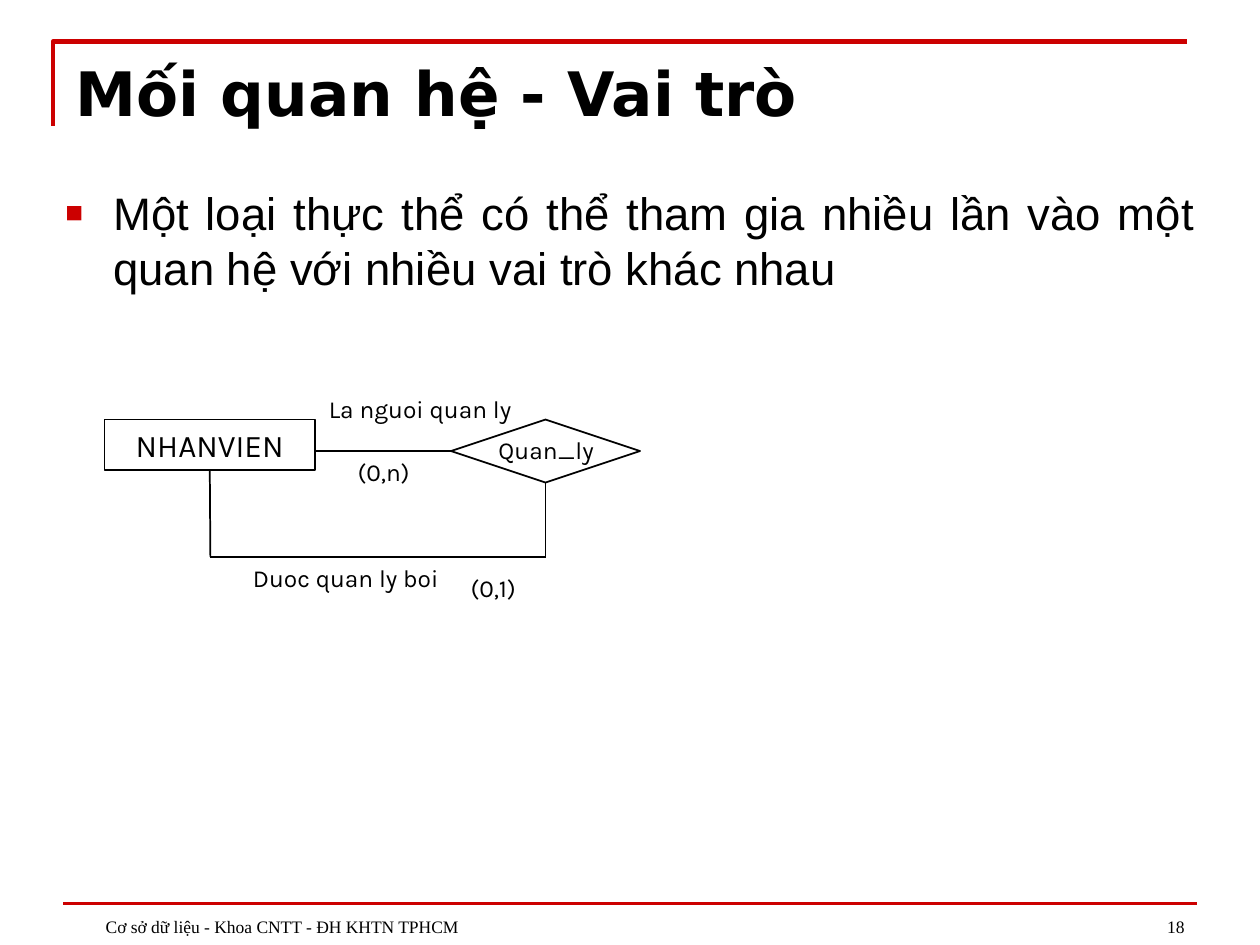
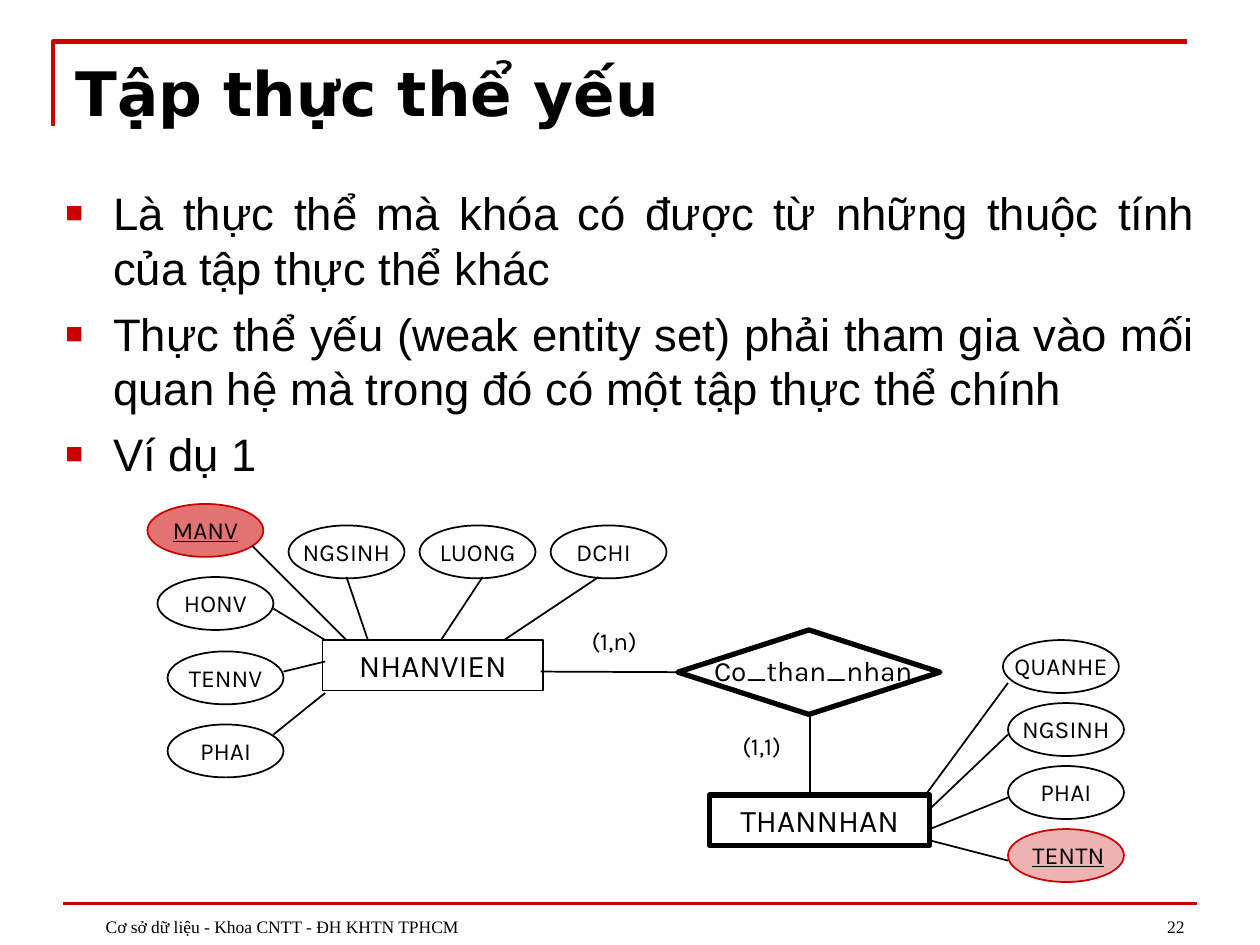
from dataclasses import dataclass

from lxml.etree import SubElement
from pptx import Presentation
from pptx.dml.color import RGBColor
from pptx.enum.shapes import MSO_CONNECTOR, MSO_SHAPE
from pptx.enum.text import MSO_ANCHOR, PP_ALIGN
from pptx.oxml.ns import qn
from pptx.util import Inches, Pt


@dataclass(frozen=True)
class Theme:
    ink: RGBColor = RGBColor(0, 0, 0)
    accent: RGBColor = RGBColor(0xCC, 0, 0)
    title_font: str = "DejaVu Sans"
    body_font: str = "Arial"
    diagram_font: str = "Karla"
    footer_font: str = "Times New Roman"
    title_size: int = 35
    body_size: int = 26
    entity_size: int = 18
    relation_size: int = 16
    label_size: int = 14
    footer_size: int = 10
    thin: int = 1
    thick: int = 3


THEME = Theme()
FOOTER = "Cơ sở dữ liệu - Khoa CNTT - ĐH KHTN TPHCM"
OVAL_W, OVAL_H = 0.92, 0.42
LABEL_H = 0.34
LEFT, RIGHT, BOTTOM = 1, 3, 2


def add_run(p, text, font, size, bold=None, underline=None):
    r = p.add_run()
    r.text = text
    r.font.name = font
    r.font.size = Pt(size)
    r.font.bold = bold
    r.font.underline = underline
    r.font.color.rgb = THEME.ink


def add_text(s, x, y, w, h, anchor=MSO_ANCHOR.TOP):
    tf = s.shapes.add_textbox(Inches(x), Inches(y), Inches(w), Inches(h)).text_frame
    tf.word_wrap = True
    tf.vertical_anchor = anchor
    return tf


def add_label(s, text, x, y, w, size=THEME.label_size, underline=None):
    p = add_text(s, x, y, w, LABEL_H).paragraphs[0]
    p.alignment = PP_ALIGN.CENTER
    add_run(p, text, THEME.diagram_font, size, underline=underline)


def add_outline(s, kind, x, y, w, h, weight=THEME.thin, color=THEME.ink):
    sp = s.shapes.add_shape(kind, Inches(x), Inches(y), Inches(w), Inches(h))
    sp.shadow.inherit = False
    sp.fill.background()
    sp.line.color.rgb = color
    sp.line.width = Pt(weight)
    return sp


def add_entity(s, name, x, y, w, weight=THEME.thin):
    sp = add_outline(s, MSO_SHAPE.RECTANGLE, x, y, w, 0.4, weight)
    tf = sp.text_frame
    tf.vertical_anchor = MSO_ANCHOR.TOP
    p = tf.paragraphs[0]
    p.alignment = PP_ALIGN.CENTER
    add_run(p, name, THEME.diagram_font, THEME.entity_size)
    return sp


def add_relation(s, x, y, w, h, weight=THEME.thin):
    return add_outline(s, MSO_SHAPE.FLOWCHART_DECISION, x, y, w, h, weight)


def add_attribute(s, name, x, y, key_opacity=None, shift=0):
    is_key = key_opacity is not None
    color = THEME.accent if is_key else THEME.ink
    sp = add_outline(s, MSO_SHAPE.OVAL, x, y, OVAL_W, OVAL_H, color=color)
    if is_key:
        sp.fill.solid()
        sp.fill.fore_color.rgb = THEME.accent
        clr = sp._element.spPr.find(qn("a:solidFill")).find(qn("a:srgbClr"))
        SubElement(clr, qn("a:alpha"), val=str(key_opacity * 1000))
    add_label(s, name, x - 0.04 + shift, y + 0.04, OVAL_W + 0.08,
              underline=is_key or None)


def add_line(s, start, end, color=THEME.ink, weight=THEME.thin):
    ends = [Inches(v) for v in (*start, *end)]
    line = s.shapes.add_connector(MSO_CONNECTOR.STRAIGHT, *ends)
    line.line.color.rgb = color
    line.line.width = Pt(weight)
    SubElement(line._element.spPr, qn("a:effectLst"))
    return line


def add_frame(s):
    fb = s.shapes.build_freeform(Inches(0.42), Inches(1))
    fb.add_line_segments([(Inches(0.42), Inches(0.33)),
                          (Inches(9.42), Inches(0.33))], close=False)
    sp = fb.convert_to_shape()
    sp.shadow.inherit = False
    sp.fill.background()
    sp.line.color.rgb = THEME.accent
    sp.line.width = Pt(2.5)
    add_line(s, (0.5, 7.17), (9.5, 7.17), THEME.accent, 2)


def add_footer(s, text, x, w, align):
    p = add_text(s, x, 6.99, w, 0.5, MSO_ANCHOR.BOTTOM).paragraphs[0]
    p.alignment = align
    p._p.get_or_add_pPr().set("marL", str(Inches(0.24)))
    add_run(p, text, THEME.footer_font, THEME.footer_size)


def add_bullets(s, items):
    tf = add_text(s, 0.42, 1.42, 9.17, 5.58)
    for i, item in enumerate(items):
        p = tf.add_paragraph() if i else tf.paragraphs[0]
        p.alignment = PP_ALIGN.JUSTIFY
        p.space_before = Pt(6.5)
        pPr = p._p.get_or_add_pPr()
        pPr.set("marL", str(Inches(0.38)))
        pPr.set("indent", str(-Inches(0.38)))
        clr = SubElement(pPr, qn("a:buClr"))
        SubElement(clr, qn("a:srgbClr"), val=str(THEME.accent))
        SubElement(pPr, qn("a:buSzPct"), val="65000")
        SubElement(pPr, qn("a:buFont"), typeface=THEME.body_font)
        SubElement(pPr, qn("a:buChar"), char="■")
        add_run(p, item, THEME.body_font, THEME.body_size)


def add_slide(prs, title, number, bullets):
    s = prs.slides.add_slide(prs.slide_layouts[6])
    add_frame(s)
    p = add_text(s, 0.5, 0.39, 9, 0.68).paragraphs[0]
    add_run(p, title, THEME.title_font, THEME.title_size, bold=True)
    add_bullets(s, bullets)
    add_footer(s, number, 7.17, 2.33, PP_ALIGN.RIGHT)
    add_footer(s, FOOTER, 0.5, 6.08, PP_ALIGN.LEFT)
    return s


def build_roles(prs):
    s = add_slide(prs, "Mối quan hệ - Vai trò", "18", [
        "Một loại thực thể có thể tham gia nhiều lần vào một quan hệ "
        "với nhiều vai trò khác nhau"])
    employee = add_entity(s, "NHANVIEN", 0.83, 3.33, 1.67)
    manages = add_relation(s, 3.58, 3.33, 1.5, 0.5)
    add_line(s, (2.5, 3.58), (3.58, 3.58)).end_connect(manages, LEFT)
    add_line(s, (4.33, 3.83), (4.33, 4.42)).begin_connect(manages, BOTTOM)
    add_line(s, (4.33, 4.42), (1.67, 4.42))
    add_line(s, (1.67, 4.42), (1.67, 3.73)).end_connect(employee, BOTTOM)
    for text, x, y, w in [
        ("Quan_ly", 3.75, 3.4, 1.17),
        ("Duoc quan ly boi", 1.83, 4.42, 1.83),
        ("(0,1)", 3.5, 4.5, 0.83),
        ("(0,n)", 2.67, 3.58, 0.75),
        ("La nguoi quan ly", 2.42, 3.08, 1.83),
    ]:
        add_label(s, text, x, y, w)


def build_weak_entity(prs):
    s = add_slide(prs, "Tập thực thể yếu", "22", [
        "Là thực thể mà khóa có được từ những thuộc tính của tập thực thể khác",
        "Thực thể yếu (weak entity set) phải tham gia vào mối quan hệ mà "
        "trong đó có một tập thực thể chính",
        "Ví dụ 1"])

    add_entity(s, "NHANVIEN", 2.56, 5.08, 1.75)
    add_attribute(s, "MANV", 1.17, 4, key_opacity=55)
    for name, x, y in [("HONV", 1.25, 4.58), ("TENNV", 1.33, 5.17),
                       ("PHAI", 1.33, 5.75)]:
        add_attribute(s, name, x, y)
    for i, (name, shift) in enumerate([("NGSINH", 0), ("LUONG", 0), ("DCHI", -0.04)]):
        add_attribute(s, name, 2.29 + 1.04 * i, 4.17, shift=shift)

    add_entity(s, "THANNHAN", 5.63, 6.31, 1.75, THEME.thick)
    add_attribute(s, "QUANHE", 7.96, 5.08)
    for i, (name, opacity) in enumerate([("NGSINH", None), ("PHAI", None), ("TENTN", 30)]):
        add_attribute(s, name, 8, 5.58 + 0.5 * i, opacity, 0.02 if opacity else 0)

    for start, end in [
        ((2.58, 5.5), (2.17, 5.83)),
        ((2.58, 5.25), (2.25, 5.33)),
        ((2.58, 5.08), (2.17, 4.83)),
        ((2.75, 5.08), (2, 4.33)),
        ((2.92, 5.08), (2.75, 4.58)),
        ((3.5, 5.08), (3.83, 4.58)),
        ((4, 5.08), (4.75, 4.58)),
        ((7.33, 6.33), (8, 5.42)),
        ((7.38, 6.42), (8, 5.83)),
        ((7.38, 6.58), (8, 6.33)),
        ((7.38, 6.67), (8, 6.83)),
    ]:
        add_line(s, start, end)

    has_relative = add_relation(s, 5.38, 5, 2.08, 0.67, THEME.thick)
    add_label(s, "Co_than_nhan", 5.54, 5.14, 1.83, THEME.relation_size)
    add_line(s, (4.29, 5.33), (5.38, 5.33)).end_connect(has_relative, LEFT)
    add_line(s, (6.43, 5.67), (6.43, 6.33))
    add_label(s, "(1,1)", 5.67, 5.75, 0.75)
    add_label(s, "(1,n)", 4.5, 4.92, 0.75)


def main():
    prs = Presentation()
    prs.slide_width = Inches(10)
    prs.slide_height = Inches(7.5)
    build_roles(prs)
    build_weak_entity(prs)
    prs.save("out.pptx")


if __name__ == "__main__":
    main()
